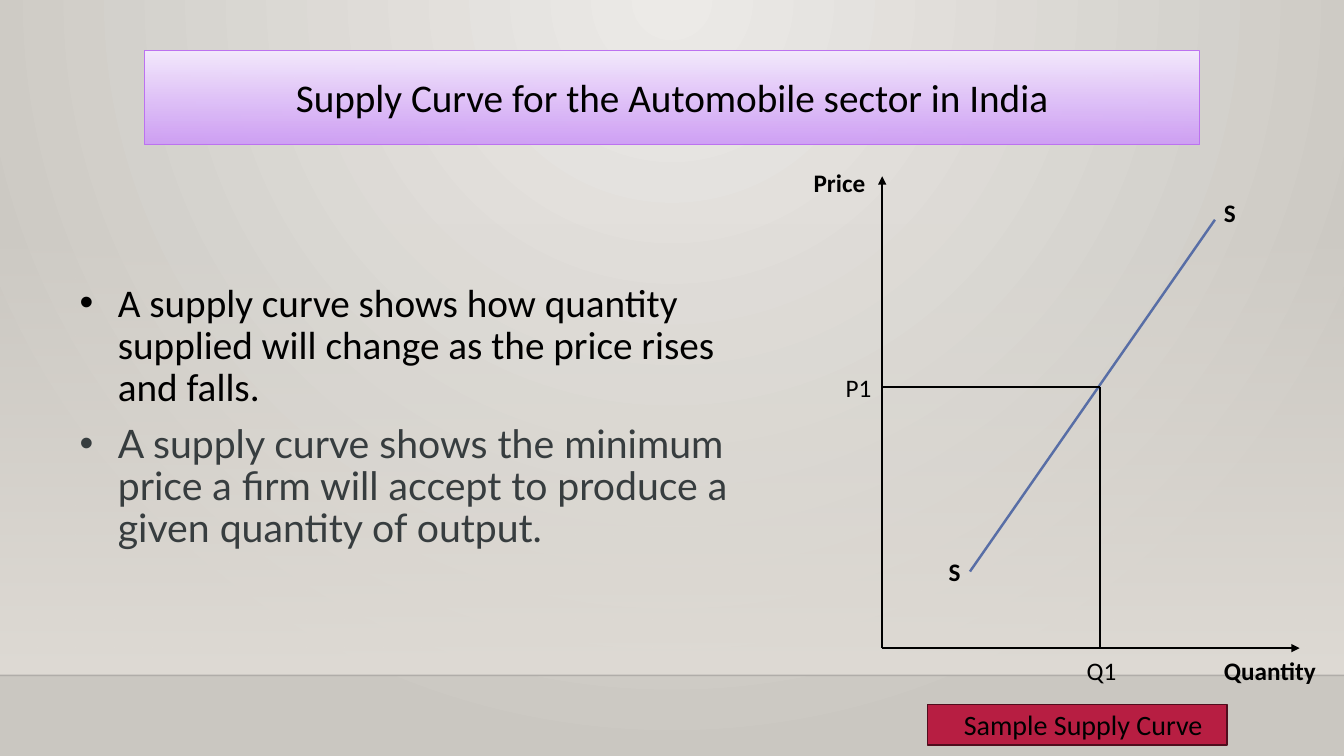
from lxml.etree import SubElement
from pptx import Presentation
from pptx.dml.color import RGBColor
from pptx.enum.shapes import MSO_CONNECTOR, MSO_SHAPE
from pptx.enum.text import MSO_ANCHOR, PP_ALIGN
from pptx.oxml.ns import qn
from pptx.util import Inches, Pt

WIDE, HIGH = Inches(13.33), Inches(7.5)
FONT, BLACK = "Calibri", "000000"

TITLE = "Supply Curve for the Automobile sector in India"
POINTS = [
    ("A supply curve shows how quantity supplied will change as the price rises and falls.",
     FONT, BLACK),
    ("A supply curve shows the minimum price a firm will accept to produce a given quantity of output.",
     "Lato", "373D3F"),
]

# Places are percent shares of the slide.
LEFT, BASE = 65.64, 85.73
Q1, P1 = 81.85, 51.2
FLOOR = 89.33
LINES = [
    ((LEFT, BASE), (LEFT, 23.33), BLACK, True),
    ((LEFT, BASE), (96.7, BASE), BLACK, True),
    ((90.4, 29.07), (72.17, 75.6), "586EA6", False),
    ((Q1, P1), (LEFT, P1), BLACK, False),
    ((Q1, P1), (Q1, BASE), BLACK, False),
]
LABELS = [
    ("Price", (59.79, 21.47, 6.98, 5.33), 18, True),
    ("S", (90.32, 25.47, 2.03, 5.33), 18, True),
    ("Quantity", (90.32, 86, 9.68, 5.33), 18, True),
    ("S", (69.84, 72.93, 2.03, 5.33), 18, True),
    ("Sample Supply Curve", (70.97, 92.93, 29.03, 5.87), 20, False),
    ("P1", (62.19, 48.53, 6.9, 5.47), 18, False),
    ("Q1", (80.12, 86, 6.9, 5.47), 18, False),
]


def tint(color, code):
    color.rgb = RGBColor.from_string(code)


def place(*shares):
    return [int(side * share / 100) for side, share in zip((WIDE, HIGH) * 2, shares)]


def fade(node, share):
    for color in node.iter(qn("a:srgbClr")):
        SubElement(color, qn("a:alpha"), val=str(share * 1000))


def blend(fill, codes, alphas=(100, 100)):
    fill.gradient()
    fill.gradient_angle = 270
    for stop, code, alpha, spot in zip(fill.gradient_stops, codes, alphas, (0, 1)):
        tint(stop.color, code)
        stop.position = spot
    return alphas


def thin(shape, alphas):
    grad = shape.element.spPr.find(qn("a:gradFill"))
    for stop, alpha in zip(grad.iter(qn("a:gs")), alphas):
        if alpha < 100:
            fade(stop, alpha)


def box(shares, edge=None, width=0):
    shape = slide.shapes.add_shape(MSO_SHAPE.RECTANGLE, *place(*shares))
    shape.shadow.inherit = False
    if edge:
        tint(shape.line.color, edge)
        shape.line.width = Pt(width)
    else:
        shape.line.fill.background()
    return shape


def link(start, end, code, width):
    line = slide.shapes.add_connector(MSO_CONNECTOR.STRAIGHT, *place(*start, *end))
    tint(line.line.color, code)
    line.line.width = Pt(width)
    SubElement(line.element.spPr, qn("a:effectLst"))
    return line


def style(para, size, code=BLACK, face=FONT, bold=False):
    for run in para.runs:
        run.font.size, run.font.name, run.font.bold = Pt(size), face, bold
        tint(run.font.color, code)


def area(shares):
    frame = slide.shapes.add_textbox(*place(*shares)).text_frame
    frame.word_wrap = True
    return frame


deck = Presentation()
deck.slide_width, deck.slide_height = WIDE, HIGH
slide = deck.slides.add_slide(deck.slide_layouts[6])

blend(slide.background.fill, ("ECEAE7", "CAC7C1"))
grad = next(slide.element.iter(qn("a:gradFill")))
grad.remove(grad.find(qn("a:lin")))
ring = SubElement(grad, qn("a:path"), path="circle")
SubElement(ring, qn("a:fillToRect"), l="43000", t="0", r="43000", b="100000")

wall = box((0, 29.47, 100, FLOOR - 29.47))
thin(wall, blend(wall.fill, ("DFDBD5", "DFDBD5"), (0, 100)))
fade(link((0, FLOOR), (100, FLOOR), "000001", 1).line._get_or_add_ln(), 20)

head = box((10.73, 6.67, 78.55, 12.4), "BC72F0", 0.75)
thin(head, blend(head.fill, ("F4EAFD", "CE9CF7"), (100, 92)))
head.text_frame.text = TITLE
head.text_frame.vertical_anchor = MSO_ANCHOR.MIDDLE
para = head.text_frame.paragraphs[0]
para.alignment = PP_ALIGN.CENTER
style(para, 28)

for start, end, code, arrow in LINES:
    line = link(start, end, code, 1.75)
    if arrow:
        SubElement(line.line._get_or_add_ln(), qn("a:tailEnd"), type="triangle")

tag = box((69.02, 93.2, 22.28, 5.33), "500D1D", 1.25)
tag.fill.solid()
tint(tag.fill.fore_color, "B71E42")

for text, shares, size, bold in LABELS:
    frame = area(shares)
    frame.text = text
    style(frame.paragraphs[0], size, bold=bold)

body = area((5.18, 36.8, 52.21, 63.2))
body.text = "\n".join(text for text, face, code in POINTS)
for para, (text, face, code) in zip(body.paragraphs, POINTS):
    para.line_spacing, para.space_before = 0.9, Pt(10)
    props = para._p.get_or_add_pPr()
    props.set("marL", str(Inches(0.38)))
    props.set("indent", str(-Inches(0.38)))
    SubElement(props, qn("a:buFont"), typeface="Arial")
    SubElement(props, qn("a:buChar"), char="•")
    style(para, 28, code, face)

deck.save("out.pptx")
